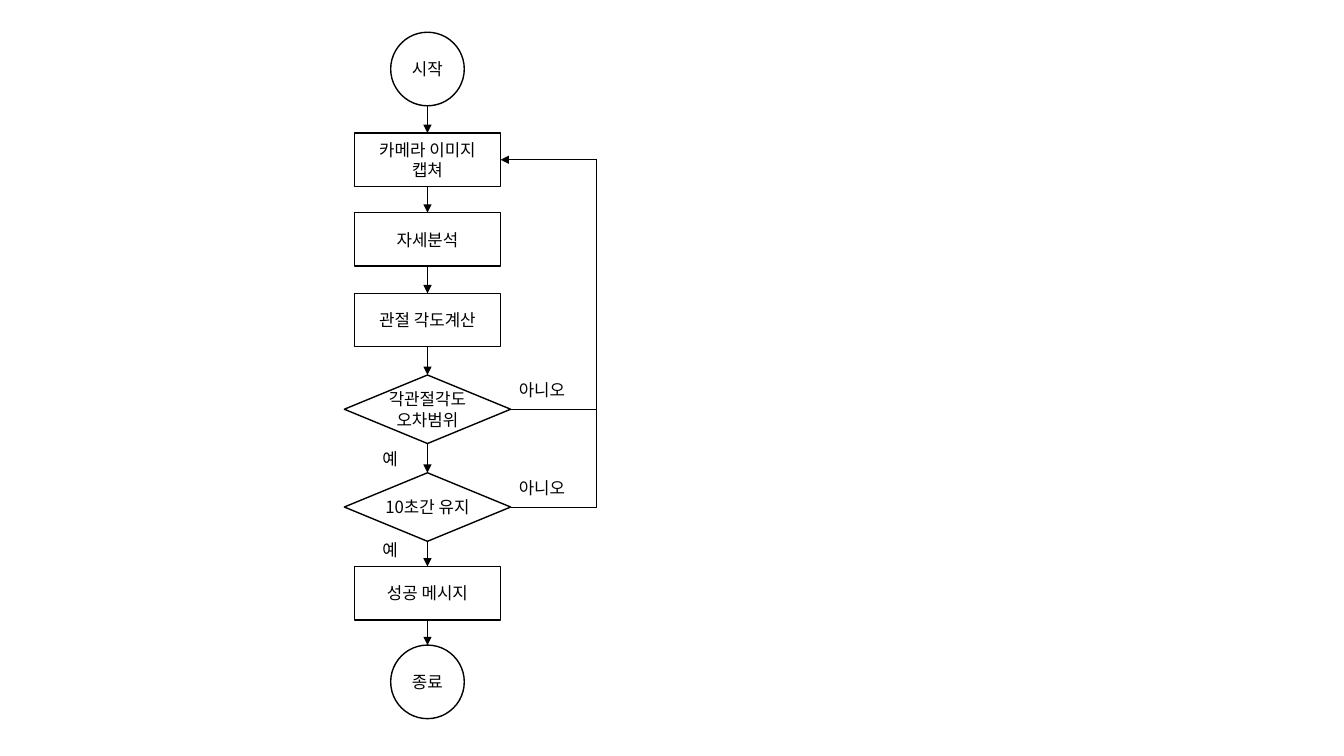
from dataclasses import dataclass

import lxml.etree
import pptx
import pptx.dml.color
import pptx.enum.shapes
import pptx.enum.text
import pptx.oxml.ns
import pptx.shapes.autoshape
import pptx.shapes.connector
import pptx.shapes.shapetree
import pptx.text.text
import pptx.util

Inches = pptx.util.Inches
Pt = pptx.util.Pt
Kind = pptx.enum.shapes.MSO_SHAPE
Link = pptx.enum.shapes.MSO_CONNECTOR
TOP, BOTTOM, RIGHT = 0, 2, 3
MID = 4.24  # centre line of the flow
BACK = 5.92  # x of the line that loops back


@dataclass(frozen=True)
class Theme:
    font: str = "Noto Sans CJK KR"
    size: float = 12
    ink: pptx.dml.color.RGBColor = pptx.dml.color.RGBColor(0, 0, 0)
    paper: pptx.dml.color.RGBColor = pptx.dml.color.RGBColor(255, 255, 255)
    edge: float = 1
    thin: float = 0.5


@dataclass(frozen=True)
class Form:
    kind: Kind
    width: float
    height: float


@dataclass(frozen=True)
class Step:
    form: Form
    top: float
    lines: tuple[str, ...]


@dataclass(frozen=True)
class Label:
    left: float
    top: float
    width: float
    text: str


THEME = Theme()
ROUND = Form(Kind.OVAL, 0.73, 0.73)
BOX = Form(Kind.RECTANGLE, 1.45, 0.53)
TEST = Form(Kind.FLOWCHART_DECISION, 1.65, 0.68)

STEPS = (
    Step(ROUND, 0.32, ("시작",)),
    Step(BOX, 1.32, ("카메라 이미지", "캡쳐")),
    Step(BOX, 2.11, ("자세분석",)),
    Step(BOX, 2.91, ("관절 각도계산",)),
    Step(TEST, 3.72, ("각관절각도", "오차범위")),
    Step(TEST, 4.69, ("10초간 유지",)),
    Step(BOX, 5.62, ("성공 메시지",)),
    Step(ROUND, 6.4, ("종료",)),
)
LABELS = (
    Label(4.95, 3.72, 0.85, "아니오"),
    Label(4.95, 4.69, 0.85, "아니오"),
    Label(3.57, 4.4, 0.6, "예"),
    Label(3.57, 5.31, 0.6, "예"),
)


def add_node(parent: lxml.etree.ElementBase, tag: str, **attrs: str) -> None:
    node = lxml.etree.SubElement(parent, pptx.oxml.ns.qn(tag))
    for name, value in attrs.items():
        node.set(name, value)


def write(frame: pptx.text.text.TextFrame, lines: tuple[str, ...]) -> None:
    for index, line in enumerate(lines):
        para = frame.add_paragraph() if index else frame.paragraphs[0]
        para.alignment = pptx.enum.text.PP_ALIGN.CENTER
        run = para.add_run()
        run.text = line
        run.font.size = Pt(THEME.size)
        run.font.color.rgb = THEME.ink
        run.font.name = THEME.font
        add_node(run.font._element, "a:ea", typeface=THEME.font)


def draw_step(
    shapes: pptx.shapes.shapetree.SlideShapes, step: Step
) -> pptx.shapes.autoshape.Shape:
    form = step.form
    shape = shapes.add_shape(
        form.kind, Inches(MID - form.width / 2), Inches(step.top),
        Inches(form.width), Inches(form.height),
    )
    shape.shadow.inherit = False
    shape.fill.solid()
    shape.fill.fore_color.rgb = THEME.paper
    shape.line.color.rgb = THEME.ink
    shape.line.width = Pt(THEME.edge)
    frame = shape.text_frame
    frame.word_wrap = False
    frame.vertical_anchor = pptx.enum.text.MSO_ANCHOR.MIDDLE
    write(frame, step.lines)
    return shape


def draw_label(shapes: pptx.shapes.shapetree.SlideShapes, label: Label) -> None:
    box = shapes.add_textbox(
        Inches(label.left), Inches(label.top), Inches(label.width), Inches(0.3)
    )
    frame = box.text_frame
    frame.word_wrap = True
    frame.auto_size = pptx.enum.text.MSO_AUTO_SIZE.SHAPE_TO_FIT_TEXT
    write(frame, (label.text,))


def draw_line(
    shapes: pptx.shapes.shapetree.SlideShapes,
    start: tuple[float, float],
    end: tuple[float, float],
    arrow: bool = False,
    link: Link = Link.STRAIGHT,
) -> pptx.shapes.connector.Connector:
    line = shapes.add_connector(link, *map(Inches, start + end))
    line.line.color.rgb = THEME.ink
    line.line.width = Pt(THEME.thin)
    if arrow:
        add_node(line.line._get_or_add_ln(), "a:tailEnd", type="triangle")
    add_node(line._element.spPr, "a:effectLst")
    return line


def middle(step: Step) -> float:
    return step.top + step.form.height / 2


def draw_flow(shapes: pptx.shapes.shapetree.SlideShapes) -> None:
    drawn = [draw_step(shapes, step) for step in STEPS]
    for index, (step, after) in enumerate(zip(STEPS, STEPS[1:])):
        base = step.top + step.form.height
        line = draw_line(shapes, (MID, base), (MID, after.top), arrow=True)
        if step.form is not ROUND:
            line.begin_connect(drawn[index], BOTTOM)
        line.end_connect(drawn[index + 1], TOP)


    grab, check, hold = STEPS[1], STEPS[4], STEPS[5]
    side = MID + TEST.width / 2
    line = draw_line(
        shapes, (BACK, middle(grab)), (MID + BOX.width / 2, middle(grab)), arrow=True
    )
    line.end_connect(drawn[1], RIGHT)
    line = draw_line(shapes, (side, middle(check)), (BACK, middle(check)))
    line.begin_connect(drawn[4], RIGHT)
    bend = draw_line(
        shapes, (side, middle(hold)), (BACK, middle(grab)), link=Link.ELBOW
    )
    bend._element.spPr.find(pptx.oxml.ns.qn("a:prstGeom")).set(
        "prst", "bentConnector2"
    )


def main() -> None:
    deck = pptx.Presentation()
    deck.slide_width = Inches(13.33)
    deck.slide_height = Inches(7.5)
    slide = deck.slides.add_slide(deck.slide_layouts[6])
    draw_flow(slide.shapes)
    for label in LABELS:
        draw_label(slide.shapes, label)
    deck.save("out.pptx")


if __name__ == "__main__":
    main()
